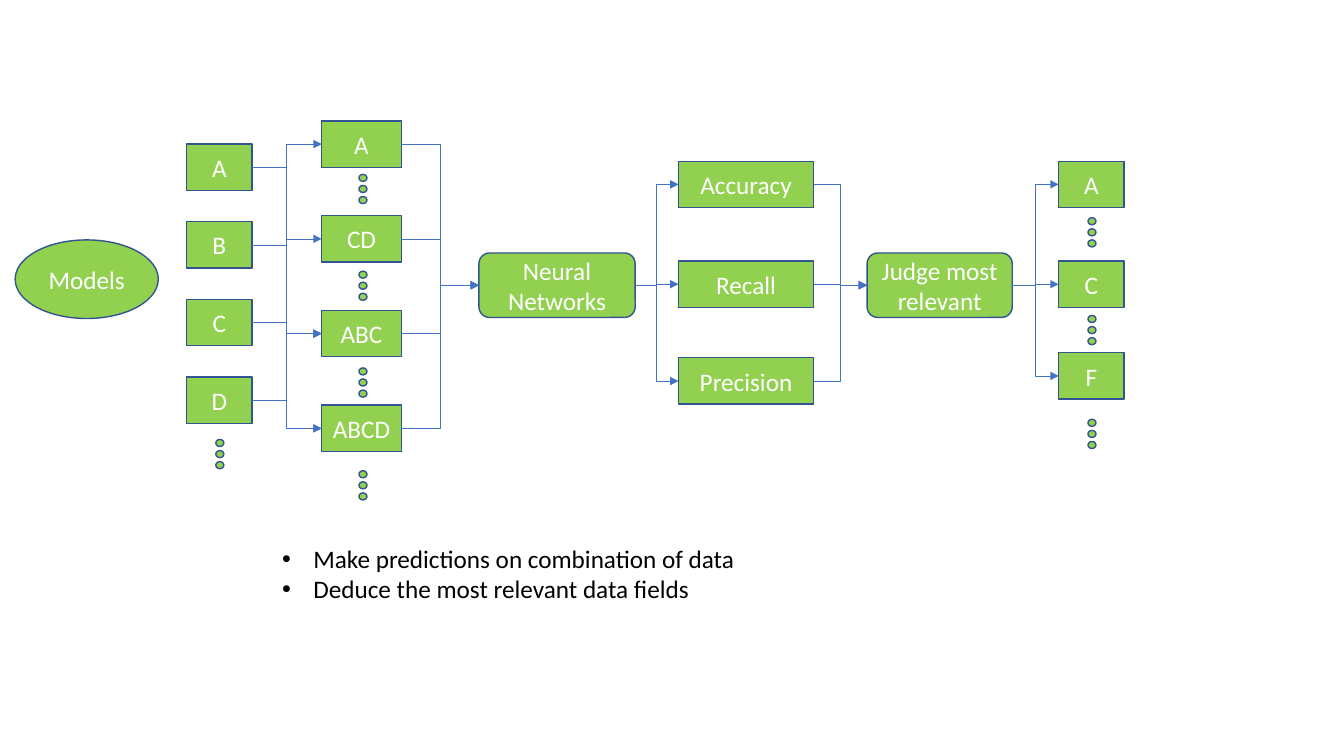
from lxml.etree import SubElement
from pptx import Presentation
from pptx.dml.color import RGBColor
from pptx.enum.shapes import MSO_CONNECTOR as Link, MSO_SHAPE as Form
from pptx.enum.text import MSO_ANCHOR as Anchor, PP_ALIGN as Align
from pptx.oxml.ns import qn
from pptx.util import Inches, Pt

GREEN = RGBColor(0x92, 0xD0, 0x50)
NAVY = RGBColor(0x32, 0x54, 0x91)
BLUE = RGBColor(0x44, 0x72, 0xC4)
WHITE = RGBColor(0xFF, 0xFF, 0xFF)
BLACK = RGBColor(0x00, 0x00, 0x00)
LEFT, RIGHT = 1, 3


class Board:
    face = "Calibri"
    size = Pt(18)

    def __init__(self, slide):
        self.shapes = slide.shapes

    def style(self, para, color):
        para.font.name = self.face
        para.font.size = self.size
        para.font.color.rgb = color

    def shape(self, home, form, x, y, w, h):
        item = home.add_shape(form, Inches(x), Inches(y), Inches(w), Inches(h))
        item.shadow.inherit = False
        item.fill.solid()
        item.fill.fore_color.rgb = GREEN
        item.line.color.rgb = NAVY
        item.line.width = Pt(1)
        return item

    def node(self, text, x, y, w, h=0.46, form=Form.RECTANGLE):
        item = self.shape(self.shapes, form, x, y, w, h)
        frame = item.text_frame
        frame.word_wrap = True
        frame.vertical_anchor = Anchor.MIDDLE
        para = frame.paragraphs[0]
        para.text = text
        para.alignment = Align.CENTER
        self.style(para, WHITE)
        return item

    def column(self, names, x, tops, w):
        return [self.node(name, x, y, w) for name, y in zip(names, tops)]

    def dots(self, x, y):
        group = self.shapes.add_group_shape()
        for i in range(3):
            self.shape(group.shapes, Form.FLOWCHART_CONNECTOR,
                       x, y + 0.11 * i, 0.08, 0.07)

    def arrow(self, start, end):
        link = self.shapes.add_connector(Link.ELBOW, 0, 0, 0, 0)
        link.begin_connect(start, RIGHT)
        link.end_connect(end, LEFT)
        link.line.color.rgb = BLUE
        link.line.width = Pt(0.5)
        SubElement(link.line._get_or_add_ln(), qn("a:tailEnd"), type="triangle")
        SubElement(link._element.spPr, qn("a:effectLst"))

    def bullets(self, lines, x, y, w, h):
        box = self.shapes.add_textbox(Inches(x), Inches(y), Inches(w), Inches(h))
        frame = box.text_frame
        frame.word_wrap = True
        for i, line in enumerate(lines):
            para = frame.add_paragraph() if i else frame.paragraphs[0]
            para.text = line
            self.style(para, BLACK)
            props = para._p.get_or_add_pPr()
            props.set("marL", str(Inches(0.31)))
            props.set("indent", str(Inches(-0.31)))
            SubElement(props, qn("a:buFont"), typeface="Arial")
            SubElement(props, qn("a:buChar"), char="•")


deck = Presentation()
deck.slide_width = Inches(13.33)
deck.slide_height = Inches(7.5)
board = Board(deck.slides.add_slide(deck.slide_layouts[6]))

board.node("Models", 0.15, 2.38, 1.42, 0.78, Form.OVAL)
fields = board.column("ABCD", 1.85, [1.43 + 0.77 * i for i in range(4)], 0.65)
mixes = board.column(["A", "CD", "ABC", "ABCD"], 3.19,
                     [1.2 + 0.94 * i for i in range(4)], 0.79)
net = board.node("Neural Networks", 4.75, 2.51, 1.55, 0.64,
                 Form.ROUNDED_RECTANGLE)
scores = board.column(["Accuracy", "Recall", "Precision"], 6.73,
                      [1.6, 2.59, 3.55], 1.34)
judge = board.node("Judge most relevant", 8.6, 2.51, 1.44, 0.64,
                   Form.ROUNDED_RECTANGLE)
ranks = board.column("ACF", 10.5, [1.6, 2.59, 3.5], 0.65)

for x, tops in [(2.14, [4.36]),
                (3.56, [1.73, 2.69, 3.65, 4.67]),
                (10.79, [2.16, 3.13, 4.16])]:
    for y in tops:
        board.dots(x, y)

for i, j in [(0, 0), (0, 2), (0, 3), (1, 2), (2, 2), (3, 1), (3, 3)]:
    board.arrow(fields[i], mixes[j])
for mix in mixes:
    board.arrow(mix, net)
for score in scores:
    board.arrow(net, score)
    board.arrow(score, judge)
for rank in ranks:
    board.arrow(judge, rank)

board.bullets(["Make predictions on combination of data",
               "Deduce the most relevant data fields"], 2.7, 5.34, 7.2, 0.71)

deck.save("out.pptx")
